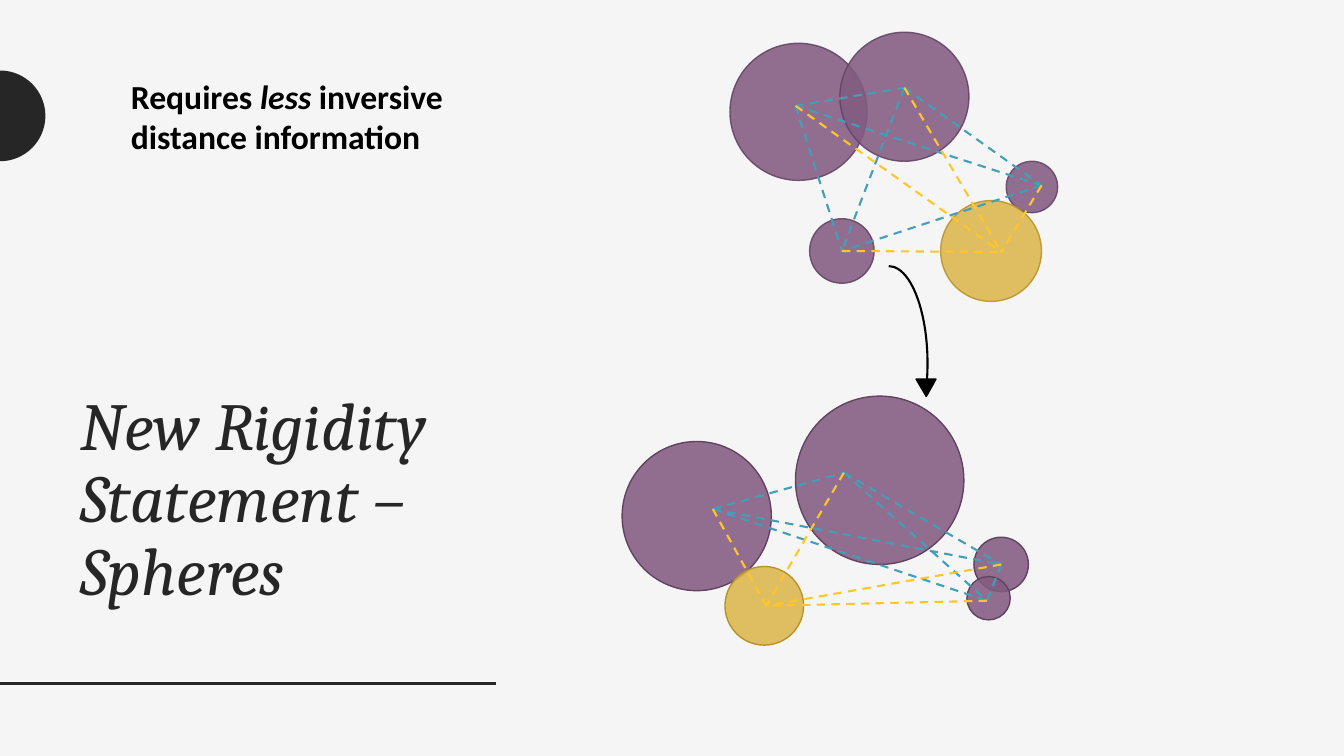
from itertools import combinations
from math import cos, pi, sin

from lxml import etree
from pptx import Presentation
from pptx.dml.color import RGBColor
from pptx.enum.dml import MSO_LINE_DASH_STYLE as Dash
from pptx.enum.shapes import MSO_CONNECTOR as Connector, MSO_SHAPE as Shape
from pptx.enum.text import MSO_ANCHOR as Anchor
from pptx.oxml.ns import qn
from pptx.util import Inches, Pt

PAPER, INK, BLACK = "F5F5F5", "262626", "000000"
PURPLE, GOLD = "835B82", "DCB64D"
GOLD_RIM = "BA9225"
BLUE_EDGE, GOLD_EDGE = "439EB7", "FFC62A"

# Circles are left, top, diameter, is gold; the gold vertex comes last.
UPPER = {
    "rim": "624462",
    "rim_alpha": 87,
    "circles": [(7.24, 0.43, 1.36, False), (8.03, 2.17, 0.64, False),
                (8.33, 0.32, 1.28, False), (9.98, 1.6, 0.51, False),
                (9.33, 1.99, 1, True)],
    "vertices": [(7.89, 1.05), (8.97, 0.87), (10.33, 1.84), (8.35, 2.49), (9.93, 2.5)],
}
LOWER = {
    "rim": "614360",
    "rim_alpha": 100,
    "circles": [(6.17, 4.38, 1.48, False), (7.19, 5.62, 0.78, True),
                (7.89, 3.93, 1.67, False), (9.66, 5.33, 0.54, False),
                (9.59, 5.72, 0.43, False)],
    "vertices": [(7.07, 5.05), (8.37, 4.69), (9.93, 5.6), (9.79, 5.96), (7.6, 6.01)],
}


def paint(color_format, color):
    """Set a colour from a hex string."""
    color_format.rgb = RGBColor.from_string(color)


def set_fill(shape, color):
    """Fill a shape with one colour."""
    shape.fill.solid()
    paint(shape.fill.fore_color, color)


def set_line(shape, color, width):
    """Draw the outline of a shape or connector."""
    shape.line.width = Pt(width)
    paint(shape.line.color, color)


def set_alpha(solid_fill, percent):
    """Make a solid fill element partly transparent."""
    alpha = etree.SubElement(solid_fill[0], qn("a:alpha"))
    alpha.set("val", str(percent * 1000))


def add_preset(page, kind, left, top, width, height):
    """Add a preset shape without a shadow."""
    shape = page.shapes.add_shape(kind, Inches(left), Inches(top), Inches(width), Inches(height))
    shape.shadow.inherit = False
    return shape


def add_circle(page, left, top, diameter, fill, rim, rim_alpha):
    """Add a translucent sphere."""
    circle = add_preset(page, Shape.OVAL, left, top, diameter, diameter)
    set_fill(circle, fill)
    set_line(circle, rim, 1)
    properties = circle.element.spPr
    set_alpha(properties.find(qn("a:solidFill")), 87)
    if rim_alpha < 100:
        set_alpha(properties.find(qn("a:ln")).find(qn("a:solidFill")), rim_alpha)


def add_segment(page, start, end, color, width, dash=None):
    """Add a straight line between two points."""
    ends = [Inches(value) for value in (*start, *end)]
    segment = page.shapes.add_connector(Connector.STRAIGHT, *ends)
    set_line(segment, color, width)
    if dash is not None:
        segment.line.dash_style = dash
    etree.SubElement(segment.element.spPr, qn("a:effectLst"))


def add_circles(page, arrangement):
    """Add the spheres of one arrangement."""
    for left, top, diameter, is_gold in arrangement["circles"]:
        fill, rim = (GOLD, GOLD_RIM) if is_gold else (PURPLE, arrangement["rim"])
        add_circle(page, left, top, diameter, fill, rim, arrangement["rim_alpha"])


def add_edges(page, arrangement):
    """Join every pair of vertices, in gold where the last one takes part."""
    vertices = arrangement["vertices"]
    for start, end in combinations(vertices, 2):
        color = GOLD_EDGE if end == vertices[-1] else BLUE_EDGE
        add_segment(page, start, end, color, 1.5, Dash.DASH)


def add_half_disc(page, center_y, radius):
    """Add a half disc on the left edge of the page."""
    steps = 48
    angles = [pi * step / steps - pi / 2 for step in range(steps + 1)]
    points = [(Inches(radius * cos(angle)), Inches(center_y + radius * sin(angle)))
              for angle in angles]
    builder = page.shapes.build_freeform(*points[0], scale=1.0)
    builder.add_line_segments(points[1:], close=True)
    disc = builder.convert_to_shape()
    disc.shadow.inherit = False
    set_fill(disc, INK)
    disc.line.fill.background()


def add_curved_arrow(page):
    """Add the arc and its arrowhead."""
    arc = add_preset(page, Shape.ARC, 8.43, 2.64, 0.77, 1.93)
    arc.adjustments[0] = 162
    arc.adjustments[1] = 22.68
    arc.fill.background()
    set_line(arc, BLACK, 1.5)
    head = add_preset(page, Shape.ISOSCELES_TRIANGLE, 9.11, 3.72, 0.2, 0.17)
    head.rotation = 59.6
    set_fill(head, BLACK)
    set_line(head, BLACK, 1)


def add_text(page, left, top, width, height, anchor=Anchor.TOP):
    """Add a wrapping text box and return its first paragraph."""
    box = page.shapes.add_textbox(Inches(left), Inches(top), Inches(width), Inches(height))
    box.text_frame.word_wrap = True
    box.text_frame.vertical_anchor = anchor
    return box.text_frame.paragraphs[0]


def add_title(page):
    """Add the slide title."""
    para = add_text(page, 0.7, 0.7, 4.3, 5.4, Anchor.BOTTOM)
    para.text = "New Rigidity Statement – Spheres"
    para.line_spacing = 0.9
    para.font.name = "Cambria"
    para.font.size = Pt(48)
    para.font.italic = True
    paint(para.font.color, INK)


def add_remark(page):
    """Add the bold remark with one italic word."""
    para = add_text(page, 1.2, 0.7, 3.8, 0.91)
    for text, italic in (("Requires ", False), ("less", True),
                         (" inversive distance information", False)):
        span = para.add_run()
        span.text = text
        span.font.name = "Calibri"
        span.font.size = Pt(24)
        span.font.bold = True
        span.font.italic = italic
        paint(span.font.color, BLACK)


def main():
    """Build and save the slide."""
    deck = Presentation()
    deck.slide_width = Inches(13.33)
    deck.slide_height = Inches(7.5)
    page = deck.slides.add_slide(deck.slide_layouts[6])
    set_fill(page.background, PAPER)
    add_title(page)
    add_half_disc(page, 1.15, 0.45)
    add_segment(page, (0, 6.78), (4.92, 6.78), INK, 2)
    for arrangement in (UPPER, LOWER):
        add_circles(page, arrangement)
        add_edges(page, arrangement)
    add_curved_arrow(page)
    add_remark(page)
    deck.save("out.pptx")


if __name__ == "__main__":
    main()
